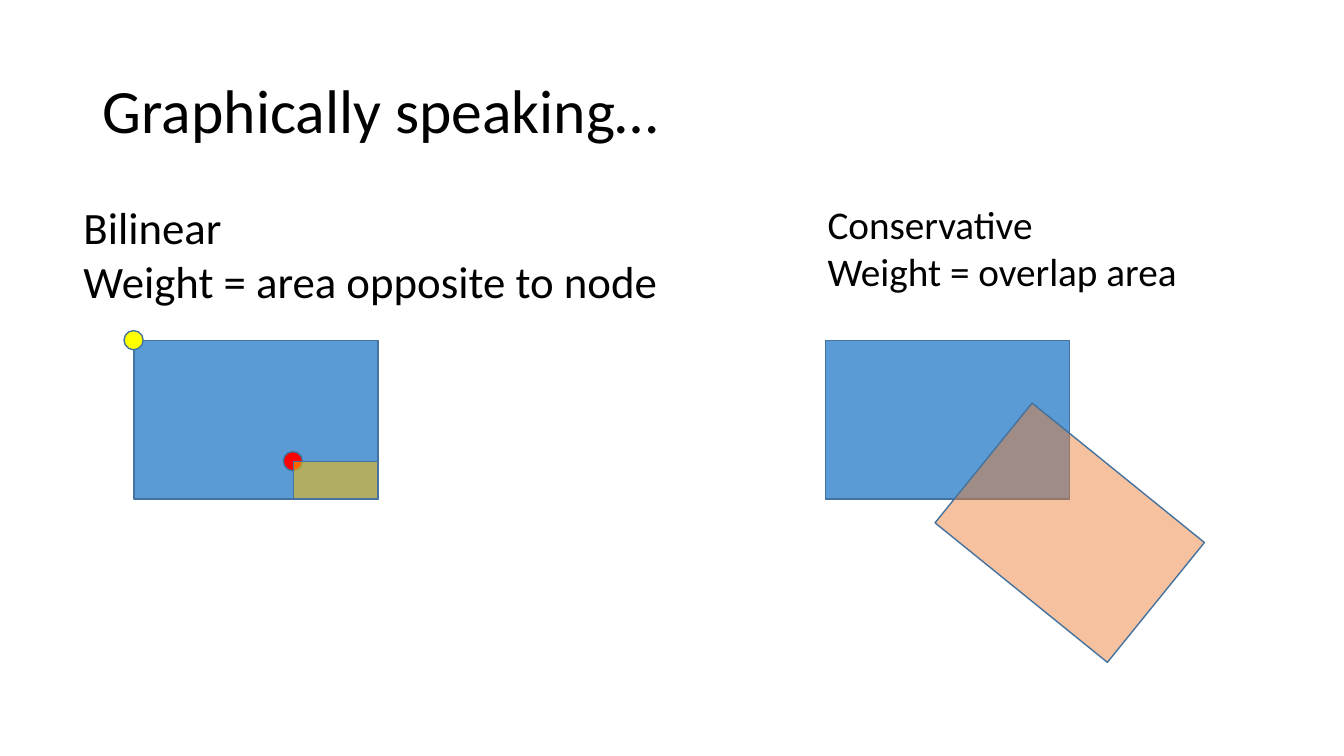
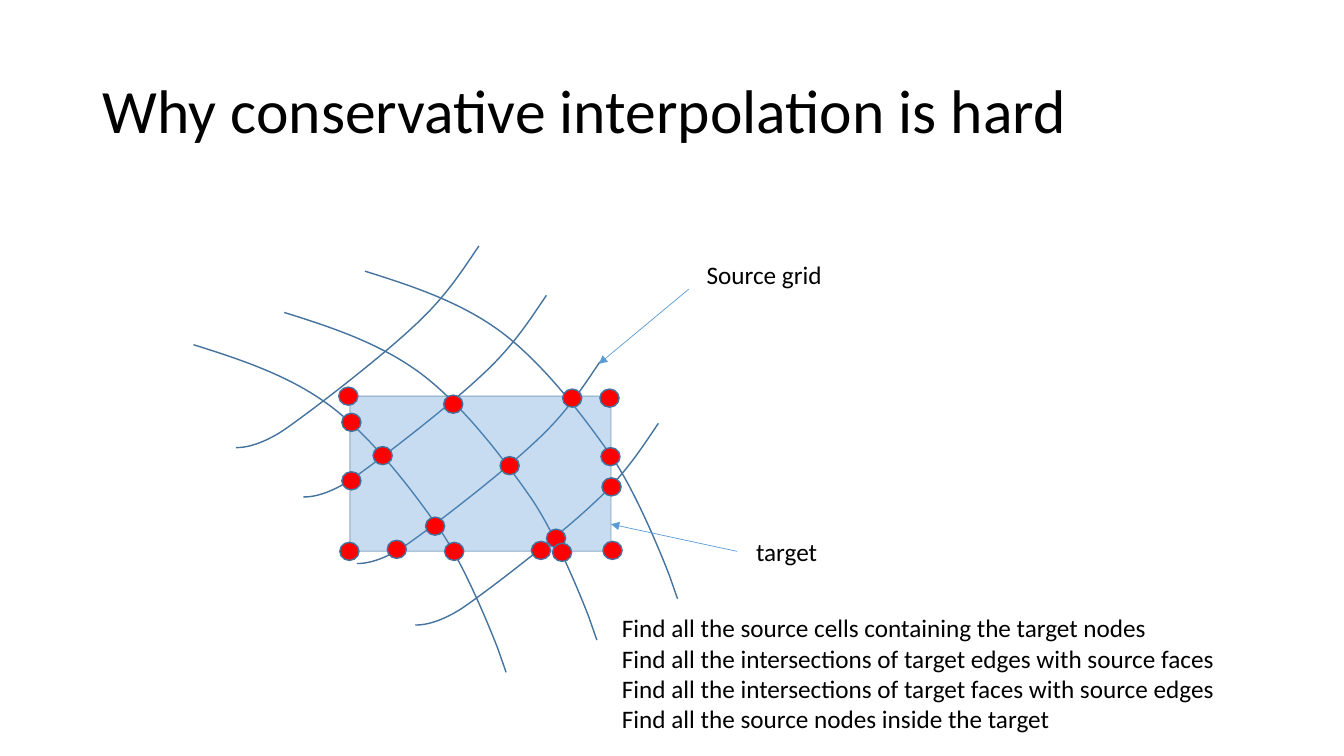
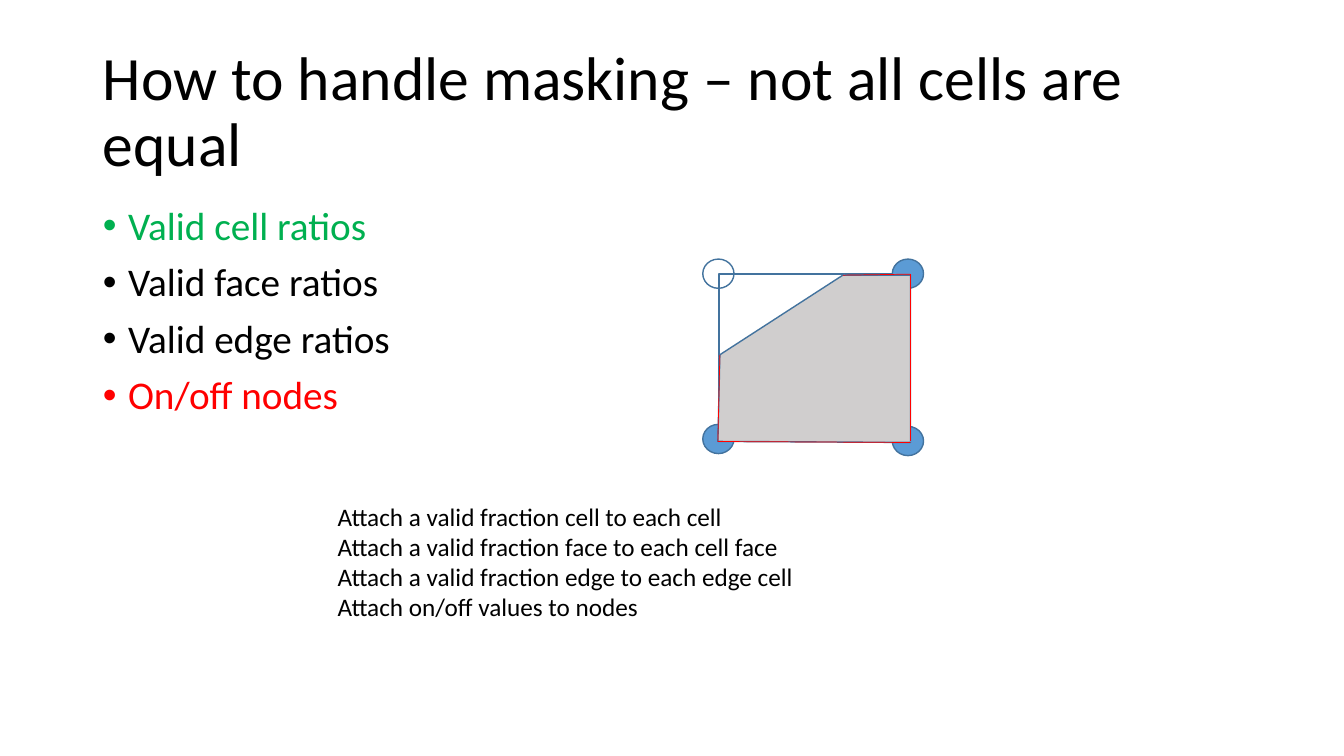
"""Three slides on bilinear and conservative grid interpolation."""
from dataclasses import dataclass

from lxml import etree
from pptx import Presentation
from pptx.dml.color import RGBColor
from pptx.enum import shapes as kinds, text as modes
from pptx.oxml import ns
from pptx.util import Inches, Pt


@dataclass(frozen=True)
class Theme:
    font: str = "Calibri"
    ink: str = "000000"
    blue: str = "5B9BD5"
    edge: str = "43739E"
    red: str = "FF0000"
    green: str = "00B050"
    yellow: str = "FFFF00"
    gold: str = "FFC000"
    orange: str = "ED7D31"
    gray: str = "D0CECE"
    title: int = 44
    large: int = 32
    body: int = 28
    note: int = 18
    thin: float = 0.5
    line: int = 1


T = Theme()
RECT = kinds.MSO_SHAPE.RECTANGLE
OVAL = kinds.MSO_SHAPE.OVAL
FRAME = (0.92, 0.4, 11.5, 1.45)

TITLES = (
    "Graphically speaking…",
    "Why conservative interpolation is hard",
    "How to handle masking – not all cells are equal",
)

WEIGHTS = (
    ((8.11, 1.94, 3.79, 1.04), T.body, False,
     ("Conservative", "Weight = overlap area")),
    ((0.73, 1.93, 6.67, 1.18), T.large, True,
     ("Bilinear", "Weight = area opposite to node")),
)
AREAS = (
    (RECT, (1.33, 3.38, 2.42, 1.57), T.blue, 100, 0),
    (RECT, (8.19, 3.38, 2.42, 1.57), T.blue, 100, 0),
    (RECT, (9.51, 4.52, 2.2, 1.53), T.orange, 47, 39),
    (OVAL, (1.23, 3.28, 0.19, 0.19), T.yellow, 100, 0),
    (OVAL, (2.81, 4.48, 0.19, 0.19), T.red, 100, 0),
    (RECT, (2.91, 4.58, 0.84, 0.37), T.gold, 53, 0),
)

FALL = (
    ((1.92, 3.42),),
    ((2.4, 3.57), (2.88, 3.73), (3.28, 4.03)),
    ((3.69, 4.34), (4.08, 4.85), (4.36, 5.25)),
    ((4.64, 5.65), (4.94, 6.44), (4.94, 6.44)),
    ((4.94, 6.44),),
    ((5.02, 6.67),),
)
RISE = (
    ((4.75, 2.44),),
    ((4.58, 2.69), (4.42, 2.95), (4.09, 3.25)),
    ((3.77, 3.55), (3.1, 4.07), (2.81, 4.27)),
    ((2.52, 4.46), (2.34, 4.44), (2.34, 4.44)),
    ((2.34, 4.44),),
)
CURVES = (
    (FALL, ((0, 0), (1.7, -0.73), (0.9, -0.32))),
    (RISE, ((0, 0), (0.67, 0.49), (1.2, 1.15), (1.78, 1.76))),
)
TARGET = (3.47, 3.93, 2.59, 1.54)
ARROWS = (((6.83, 2.87), (5.94, 3.61)), ((7.31, 5.47), (6.06, 5.2)))
DOT = (0.19, 0.18)
DOTS = (
    (3.39, 4.1), (3.36, 3.84), (4.4, 3.92), (5.58, 3.86), (5.96, 4.44),
    (4.96, 4.53), (3.7, 4.43), (3.84, 5.36), (5.42, 5.25), (5.48, 5.39),
    (5.27, 5.37), (4.41, 5.38), (4.22, 5.13), (5.97, 4.74), (3.39, 4.68),
    (5.95, 3.86), (3.37, 5.38), (5.98, 5.37),
)
LABELS = (
    ((6.91, 2.52, 1.36, 0.4), ("Source grid",)),
    ((7.4, 5.27, 0.81, 0.4), ("target",)),
    ((6.07, 6.03, 6.16, 1.31), (
        "Find all the source cells containing the target nodes",
        "Find all the intersections of target edges with source faces",
        "Find all the intersections of target faces with source edges",
        "Find all the source nodes inside the target",
    )),
)

RATIOS = (
    ("Valid cell ratios", T.green),
    ("Valid face ratios", T.ink),
    ("Valid edge ratios", T.ink),
    ("On/off nodes", T.red),
)
CELL = (7.13, 2.72, 1.89, 1.66)
NODE = (0.31, 0.29)
NODES = (((6.97, 2.57), None), ((8.85, 2.57), T.blue),
         ((8.85, 4.23), T.blue), ((6.97, 4.21), T.blue))
CUT = ((7.13, 3.55), (8.38, 2.72))
VALID = (((7.14, 3.52),), ((7.12, 4.38),), ((9.03, 4.39),),
         ((9.03, 2.73),), ((8.36, 2.73),), ((7.14, 3.52),))
SIDES = (
    ((7.12, 4.38), (9.03, 4.39), T.red),
    ((9.03, 4.39), (9.03, 2.73), T.blue),
    ((9.03, 4.38), (9.03, 2.72), T.red),
    ((9.03, 2.72), (8.36, 2.73), T.red),
    ((7.14, 3.52), (7.12, 4.38), T.red),
)
STEPS = ((3.25, 4.92, 4.78, 1.31), (
    "Attach a valid fraction cell to each cell",
    "Attach a valid fraction face to each cell face",
    "Attach a valid fraction edge to each edge cell",
    "Attach on/off values to nodes",
))


def inch(vals):
    return [Inches(v) for v in vals]


def apply(obj, **vals):
    for key, val in vals.items():
        setattr(obj, key, val)


def place(shape, box):
    apply(shape, **dict(zip(("left", "top", "width", "height"), inch(box))))


def paint(fill, color, alpha=100):
    if color is None:
        fill.background()
        return
    fill.solid()
    fill.fore_color.rgb = RGBColor.from_string(color)
    if alpha < 100:
        tone = fill._xPr.find(".//" + ns.qn("a:srgbClr"))
        etree.SubElement(tone, ns.qn("a:alpha"), val=str(alpha * 1000))


def style(shape, color, alpha=100, fade=100):
    paint(shape.fill, color, alpha)
    paint(shape.line.fill, T.edge, fade)
    shape.line.width = Pt(T.line)
    shape.shadow.inherit = False
    return shape


def write(frame, rows, size, **form):
    for num, (words, color) in enumerate(rows):
        para = frame.add_paragraph() if num else frame.paragraphs[0]
        apply(para, **form)
        run = para.add_run()
        run.text = words
        apply(run.font, name=T.font, size=Pt(size))
        run.font.color.rgb = RGBColor.from_string(color)


def label(slide, box, lines, size=T.note, wrap=False):
    frame = slide.shapes.add_textbox(*inch(box)).text_frame
    apply(frame, word_wrap=wrap,
          auto_size=modes.MSO_AUTO_SIZE.SHAPE_TO_FIT_TEXT)
    write(frame, [(words, T.ink) for words in lines], size)


def block(slide, kind, box, color, alpha=100, fade=100):
    return style(slide.shapes.add_shape(kind, *inch(box)), color, alpha, fade)


def outline(slide, parts, color=None, move=(0, 0), close=False):
    parts = [[inch((x + move[0], y + move[1])) for x, y in part]
             for part in parts]
    ends = [part[-1] for part in parts]
    form = slide.shapes.build_freeform(*ends[0])
    form.add_line_segments(ends[1:], close=close)
    shape = form.convert_to_shape()
    legs = list(shape._element.iter(ns.qn("a:lnTo")))
    for leg, part in zip(legs, parts[1:]):
        if len(part) == 3:
            bend = etree.Element(ns.qn("a:cubicBezTo"))
            for x, y in part:
                etree.SubElement(bend, ns.qn("a:pt"), x=str(x - shape.left),
                                 y=str(y - shape.top))
            leg.getparent().replace(leg, bend)
    return style(shape, color)


def link(slide, start, end, color=T.blue, head=False):
    line = slide.shapes.add_connector(
        kinds.MSO_CONNECTOR.STRAIGHT, *inch(start + end))
    paint(line.line.fill, color)
    line.line.width = Pt(T.thin)
    if head:
        etree.SubElement(line.line._ln, ns.qn("a:tailEnd"), type="triangle")
    etree.SubElement(line._element.spPr, ns.qn("a:effectLst"))
    return line


def begin(deck, words, layout=5):
    slide = deck.slides.add_slide(deck.slide_layouts[layout])
    title = slide.shapes.title
    place(title, FRAME)
    apply(title.text_frame, word_wrap=True,
          auto_size=modes.MSO_AUTO_SIZE.NONE,
          vertical_anchor=modes.MSO_ANCHOR.MIDDLE)
    write(title.text_frame, [(words, T.ink)], T.title,
          alignment=modes.PP_ALIGN.LEFT, line_spacing=0.9)
    return slide


def compare(slide):
    for kind, box, color, alpha, turn in AREAS:
        block(slide, kind, box, color, alpha).rotation = turn
    for box, size, wrap, lines in WEIGHTS:
        label(slide, box, lines, size, wrap)


def overlap(slide):
    for curve, moves in CURVES:
        for move in moves:
            outline(slide, curve, move=move)
    block(slide, RECT, TARGET, T.blue, 34, 34)
    for (start, end), (box, lines) in zip(ARROWS, LABELS):
        link(slide, start, end, head=True)
        label(slide, box, lines)
    for spot in DOTS:
        block(slide, OVAL, spot + DOT, T.red)
    label(slide, *LABELS[-1])


def mask(slide):
    body = slide.placeholders[1]
    place(body, (0.92, 2, 11.5, 4.76))
    body.text_frame.auto_size = modes.MSO_AUTO_SIZE.NONE
    write(body.text_frame, RATIOS, T.body, line_spacing=0.9,
          space_before=Pt(10))
    for para in body.text_frame.paragraphs:
        form = para._p.get_or_add_pPr()
        form.set("marL", str(Inches(0.25)))
        form.set("indent", str(-Inches(0.25)))
        etree.SubElement(form, ns.qn("a:buChar"), char="•")
    cell = block(slide, RECT, CELL, None)
    for spot, color in NODES:
        block(slide, OVAL, spot + NODE, color)
    link(slide, *CUT).begin_connect(cell, 1)
    outline(slide, VALID, T.gray, close=True)
    for side in SIDES:
        link(slide, *side)
    label(slide, *STEPS)


def main():
    deck = Presentation()
    apply(deck, slide_width=Inches(13.33), slide_height=Inches(7.5))
    for words, draw, layout in zip(TITLES, (compare, overlap, mask), (5, 5, 1)):
        draw(begin(deck, words, layout))
    deck.save("out.pptx")


if __name__ == "__main__":
    main()
